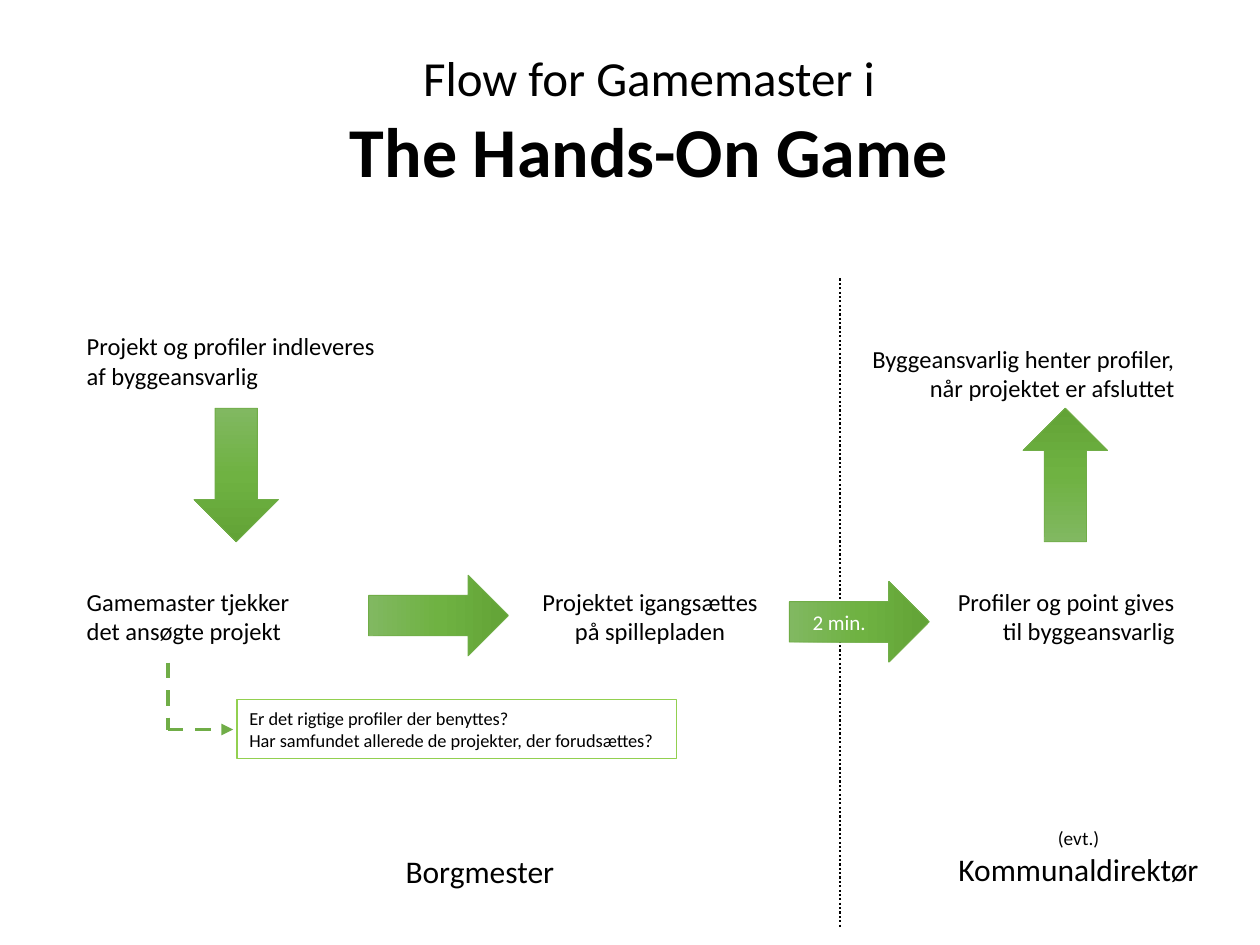
from copy import deepcopy
from dataclasses import dataclass

from lxml import etree
from pptx import Presentation
from pptx.dml.color import RGBColor
from pptx.enum.dml import MSO_LINE
from pptx.enum.shapes import MSO_CONNECTOR, MSO_SHAPE
from pptx.enum.text import MSO_ANCHOR, PP_ALIGN
from pptx.oxml.ns import qn
from pptx.util import Inches, Pt

LEFT, CENTER, RIGHT = PP_ALIGN.LEFT, PP_ALIGN.CENTER, PP_ALIGN.RIGHT
DASH, DOT = MSO_LINE.DASH, MSO_LINE.ROUND_DOT


@dataclass(frozen=True)
class Theme:
    font: str = "Calibri"
    text: str = "000000"
    inverse: str = "FFFFFF"
    green: str = "70AD47"
    note_border: str = "92D050"
    gradient: tuple = ((0, "81B861"), (0.5, "6FB242"), (1, "62A336"))
    intro_size: float = 28
    title_size: float = 40
    role_size: float = 18
    step_size: float = 14
    time_size: float = 12
    remark_size: float = 11
    note_size: float = 10.5


theme = Theme()

# Grid: outer edges, swimlane border and the rows of the flow
left_edge, right_edge, lane_border = 0.59, 9.42, 6.67
arrow_row, step_row = 3.24, 4.61
step_height = 0.57
branch_x, branch_top, branch_y = 1.33, 5.26, 5.79

presentation = Presentation()
presentation.slide_width, presentation.slide_height = Inches(10), Inches(7.5)
slide = presentation.slides.add_slide(presentation.slide_layouts[5])


def write(shape, lines, size, align, color=theme.text):
    """Fill a shape with paragraphs that share one format."""
    frame = shape.text_frame
    frame.word_wrap = True
    frame.text = "\n".join(lines)
    for paragraph in frame.paragraphs:
        paragraph.alignment = align
        paragraph.font.name = theme.font
        paragraph.font.size = Pt(size)
        paragraph.font.color.rgb = RGBColor.from_string(color)
    return frame


def add_line(start, end, color, width, dash):
    """Draw a straight dashed line without shadow."""
    points = [Inches(value) for value in (*start, *end)]
    connector = slide.shapes.add_connector(MSO_CONNECTOR.STRAIGHT, *points)
    connector.line.color.rgb = RGBColor.from_string(color)
    connector.line.width = Pt(width)
    connector.line.dash_style = dash
    etree.SubElement(connector._element.spPr, qn("a:effectLst"))
    return connector


# Title
title = slide.shapes.title
title.left, title.top, title.width, title.height = map(Inches, (0.15, 0.42, 10, 1.17))
title_frame = write(title, ["Flow for Gamemaster i", "The Hands-On Game"], theme.intro_size, CENTER)
title_frame.vertical_anchor = MSO_ANCHOR.TOP
for paragraph in title_frame.paragraphs:
    paragraph.line_spacing = 0.8
    paragraph.space_before = Pt(10)
title_frame.paragraphs[1].font.size = Pt(theme.title_size)
title_frame.paragraphs[1].font.bold = True

# Border between the two roles
add_line((lane_border, 2.21), (lane_border, 7.36), theme.text, 1.25, DOT)

# Flow arrows: left, top, width, height, rotation
for *box, rotation in [
    (1.54, arrow_row, 0.67, 1.06, 0),
    (3.16, 4.33, 0.64, 1.11, 270),
    (6.5, 4.38, 0.64, 1.11, 270),
    (8.12, arrow_row, 0.67, 1.06, 180),
]:
    arrow = slide.shapes.add_shape(MSO_SHAPE.DOWN_ARROW, *map(Inches, box))
    arrow.rotation = rotation
    arrow.shadow.inherit = False
    arrow.line.color.rgb = RGBColor.from_string(theme.green)
    arrow.line.width = Pt(0.5)
    arrow.fill.gradient()
    arrow.fill.gradient_angle = 270
    stop_list = arrow._element.spPr.find(".//" + qn("a:gsLst"))
    stop_list.insert(1, deepcopy(stop_list[0]))
    for stop, (position, color) in zip(arrow.fill.gradient_stops, theme.gradient):
        stop.position = position
        stop.color.rgb = RGBColor.from_string(color)

# Steps, waiting time and role: text, left, top, width, height, size, alignment, colour
for text, *box, size, align, color in [
    ("Projekt og profiler indleveres af byggeansvarlig",
     left_edge, 2.58, 2.53, step_height, theme.step_size, LEFT, theme.text),
    ("Gamemaster tjekker det ansøgte projekt",
     left_edge, step_row, 2, step_height, theme.step_size, LEFT, theme.text),
    ("Projektet igangsættes på spillepladen",
     4.16, step_row, 2, step_height, theme.step_size, CENTER, theme.text),
    ("Profiler og point gives til byggeansvarlig",
     right_edge - 1.92, step_row, 1.92, step_height, theme.step_size, RIGHT, theme.text),
    ("Byggeansvarlig henter profiler, når projektet er afsluttet",
     right_edge - 2.75, 2.68, 2.75, step_height, theme.step_size, RIGHT, theme.text),
    ("2 min.", 6.32, 4.79, 0.68, 0.3, theme.time_size, CENTER, theme.inverse),
    ("Borgmester", 3.12, 6.71, 1.45, 0.4, theme.role_size, LEFT, theme.text),
]:
    write(slide.shapes.add_textbox(*map(Inches, box)), [text], size, align, color)

# Second role, with a smaller remark that wraps onto its own line
director = slide.shapes.add_textbox(*map(Inches, (7.5, 6.51, 2.12, 0.61)))
director_frame = write(director, ["(evt.) "], theme.role_size, CENTER)
director_frame.paragraphs[0].runs[0].font.size = Pt(theme.remark_size)
director_frame.paragraphs[0].add_run().text = "Kommunaldirektør"

# Dashed branch to the checklist
branch = add_line((branch_x, branch_y), (1.85, branch_y), theme.green, 2.25, DASH)
etree.SubElement(branch.line._get_or_add_ln(), qn("a:tailEnd"), type="triangle")
add_line((branch_x, branch_top), (branch_x, branch_y), theme.green, 2.25, DASH)

# Checklist
note = slide.shapes.add_shape(MSO_SHAPE.RECTANGLE, *map(Inches, (1.88, 5.55, 3.49, 0.47)))
note.shadow.inherit = False
note.fill.background()
note.line.color.rgb = RGBColor.from_string(theme.note_border)
note.line.width = Pt(0.75)
write(note, ["Er det rigtige profiler der benyttes?",
             "Har samfundet allerede de projekter, der forudsættes?"], theme.note_size, LEFT)

presentation.save("out.pptx")
